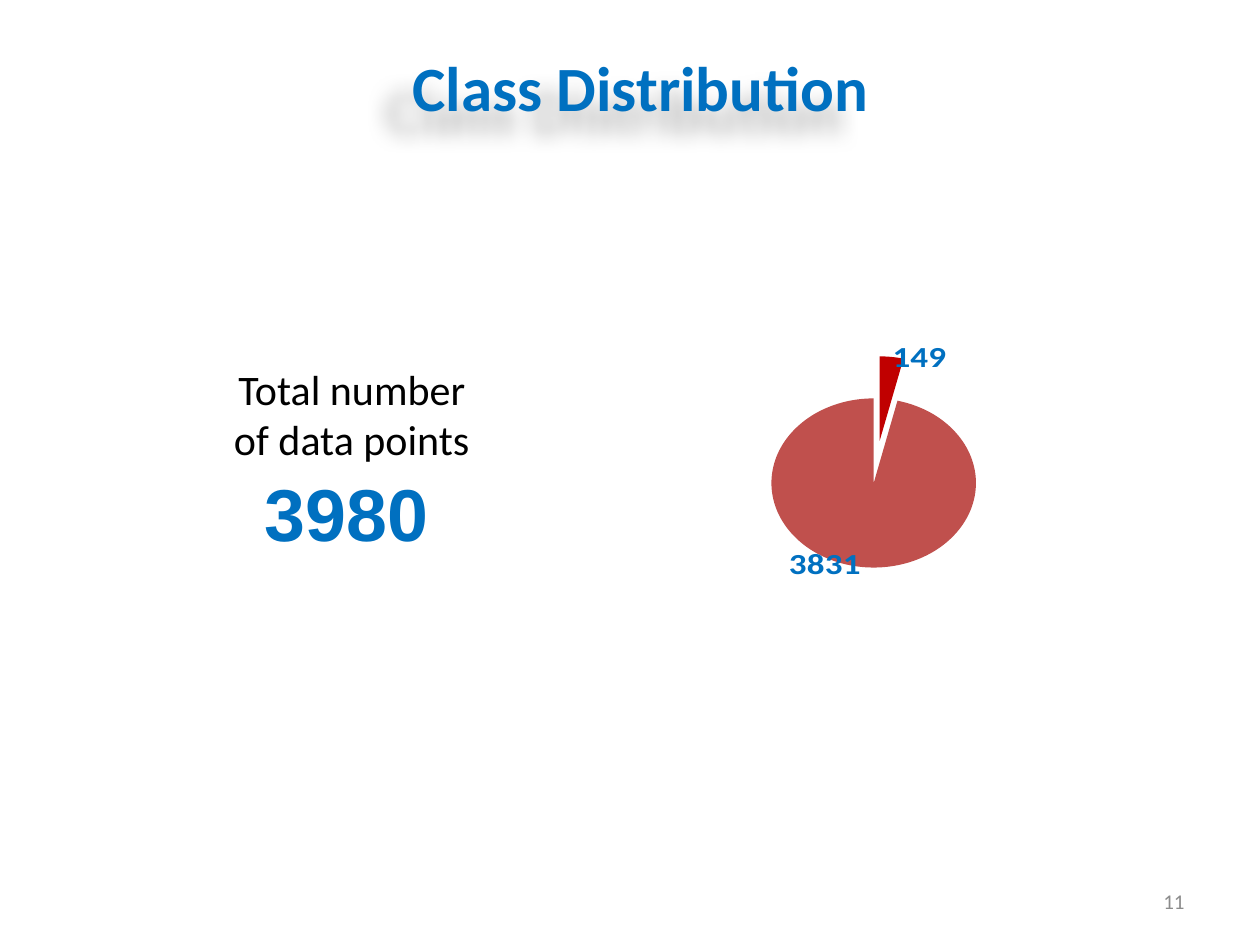
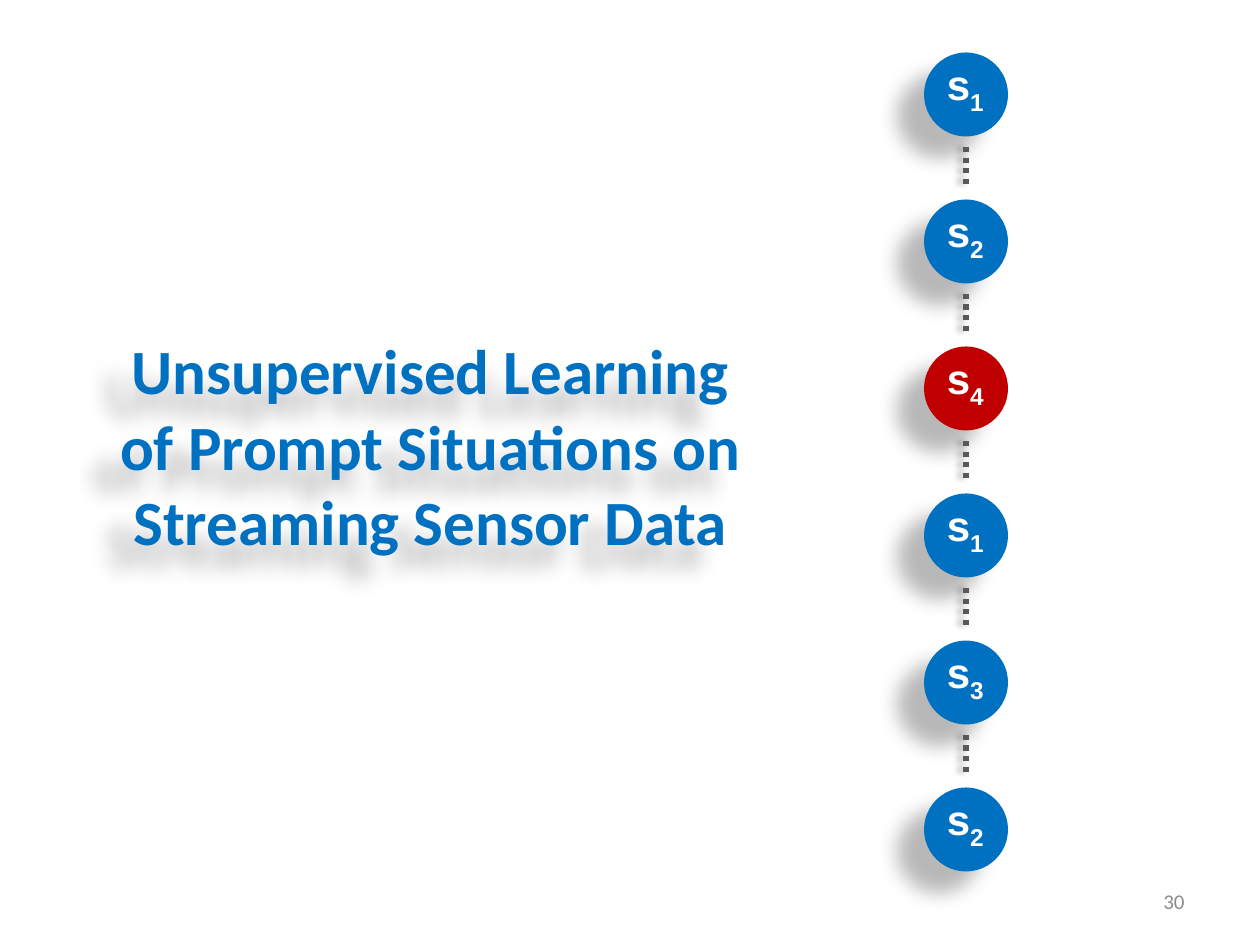
from lxml.etree import SubElement as sub
from pptx import Presentation
from pptx.chart.data import CategoryChartData
from pptx.dml.color import RGBColor
from pptx.enum.chart import XL_CHART_TYPE as KIND, XL_LABEL_POSITION as SPOT
from pptx.enum.dml import MSO_LINE as DASH
from pptx.enum.shapes import MSO_CONNECTOR as LINK, MSO_SHAPE as FORM
from pptx.enum.text import MSO_ANCHOR as ANCHOR, MSO_AUTO_SIZE as SIZE, PP_ALIGN as ALIGN
from pptx.oxml.ns import qn
from pptx.util import Pt

PX = 7620  # EMU in one px, 120 px to the inch
BLUE, RED, BRICK = "0070C0", "C00000", "C0504D"
BLACK, WHITE, GREY, DARK = "000000", "FFFFFF", "8C8C8C", "595959"
SOFT = (28, 11.8, 19.7, 141)  # opacity %, blur pt, distance pt, angle
TIGHT = (40, 4, 3, 180)
rgb = RGBColor.from_string


def shade(shape, alpha, blur, dist, angle):
    effects = sub(shape._element.spPr, qn("a:effectLst"))
    outer = sub(effects, qn("a:outerShdw"), blurRad=str(Pt(blur)), dist=str(Pt(dist)),
                dir=str(angle * 60000), algn="ctr", rotWithShape="0")
    tint = sub(outer, qn("a:srgbClr"), val=BLACK)
    sub(tint, qn("a:alpha"), val=str(alpha * 1000))


def write(slide, words, place, size, color, bold=False, face="Calibri", align=ALIGN.CENTER):
    box = slide.shapes.add_textbox(*[n * PX for n in place])
    frame = box.text_frame
    frame.word_wrap = True
    frame.auto_size = SIZE.SHAPE_TO_FIT_TEXT
    para = frame.paragraphs[0]
    para.alignment = align
    for word in words:
        run = para.add_run()
        run.text = word
        font = run.font
        font.size, font.bold, font.name = Pt(size), bold, face
        font.color.rgb = rgb(color)
    return box


deck = Presentation()
deck.slide_width, deck.slide_height = 1200 * PX, 900 * PX

# Shared title and slide number
heads = [
    ("Class Distribution", (220, 40, 780, 85), "11"),
    ("Unsupervised Learning of Prompt Situations on Streaming Sensor Data",
     (100, 310, 620, 230), "30"),
]
slides = []
for title, place, page in heads:
    slide = deck.slides.add_slide(deck.slide_layouts[6])
    shade(write(slide, [title], place, 36, BLUE, True), *SOFT)
    foot = write(slide, [page], (860, 834, 280, 48), 12, GREY, align=ALIGN.RIGHT)
    foot.text_frame.auto_size = SIZE.NONE
    foot.text_frame.vertical_anchor = ANCHOR.MIDDLE
    slides.append(slide)
classes, stream = slides

# Pie of the two classes
data = CategoryChartData()
data.categories = ["1", "2"]
data.add_series("Series 1", (149, 3831))
area = [n * PX for n in (590, 300, 490, 280)]
chart = classes.shapes.add_chart(KIND.PIE, *area, data).chart
chart.has_title = chart.has_legend = False
chart.font.size, chart.font.name = Pt(10), "Calibri"
chart.font.color.rgb = rgb(BLACK)

plot = chart.plots[0]
plot.has_data_labels = True
labels = plot.data_labels
labels.show_value, labels.show_percentage = True, False
labels.position = SPOT.OUTSIDE_END
labels.font.size, labels.font.bold, labels.font.name = Pt(20), True, "Calibri"
labels.font.color.rgb = rgb(BLUE)

# Slices pulled apart
series = plot.series[0]
burst = sub(series._element, qn("c:explosion"), val="25")
series._element.find(qn("c:tx")).addnext(burst)
for i, color in enumerate((RED, BRICK)):
    fill = series.points[i].format.fill
    fill.solid()
    fill.fore_color.rgb = rgb(color)

# Inner plot area
zone = chart._chartSpace.chart.plotArea
for old in zone.findall(qn("c:layout")):
    zone.remove(old)
layout = sub(zone, qn("c:layout"))
zone.insert(0, layout)
manual = sub(layout, qn("c:manualLayout"))
for key, val in (("layoutTarget", "inner"), ("xMode", "edge"), ("yMode", "edge"),
                 ("x", "0.04"), ("y", "0.07"), ("w", "0.92"), ("h", "0.87")):
    sub(manual, qn("c:" + key), val=val)

# Total beside the pie
write(classes, ["Total number of data points"], (210, 340, 250, 109), 24, BLACK)
write(classes, ["3980"], (230, 440, 200, 97), 42, BLUE, True, "Arial")

# Chain of states
LEFT, TOP, DIAM, STEP, GAP = 880, 50, 80, 140, 10
states = "124132"
for i, state in enumerate(states):
    top = TOP + i * STEP
    disc = stream.shapes.add_shape(FORM.OVAL, LEFT * PX, top * PX, DIAM * PX, DIAM * PX)
    disc.fill.solid()
    disc.fill.fore_color.rgb = rgb(RED if state == "4" else BLUE)
    disc.line.fill.background()
    shade(disc, *SOFT)
    name = write(stream, ["s", state], (LEFT + 10, top, 70, 60), 24, WHITE, True, "Arial",
                 ALIGN.LEFT)
    index = name.text_frame.paragraphs[0].runs[1]
    index.font._element.set("baseline", "-25000")

# Dotted links between the states
mid = (LEFT + DIAM // 2) * PX
for i in range(len(states) - 1):
    start = TOP + i * STEP + DIAM + GAP
    end = TOP + (i + 1) * STEP - GAP
    link = stream.shapes.add_connector(LINK.STRAIGHT, mid, start * PX, mid, end * PX)
    link.line.color.rgb = rgb(DARK)
    link.line.width = Pt(3)
    link.line.dash_style = DASH.ROUND_DOT
    shade(link, *TIGHT)

deck.save("out.pptx")
